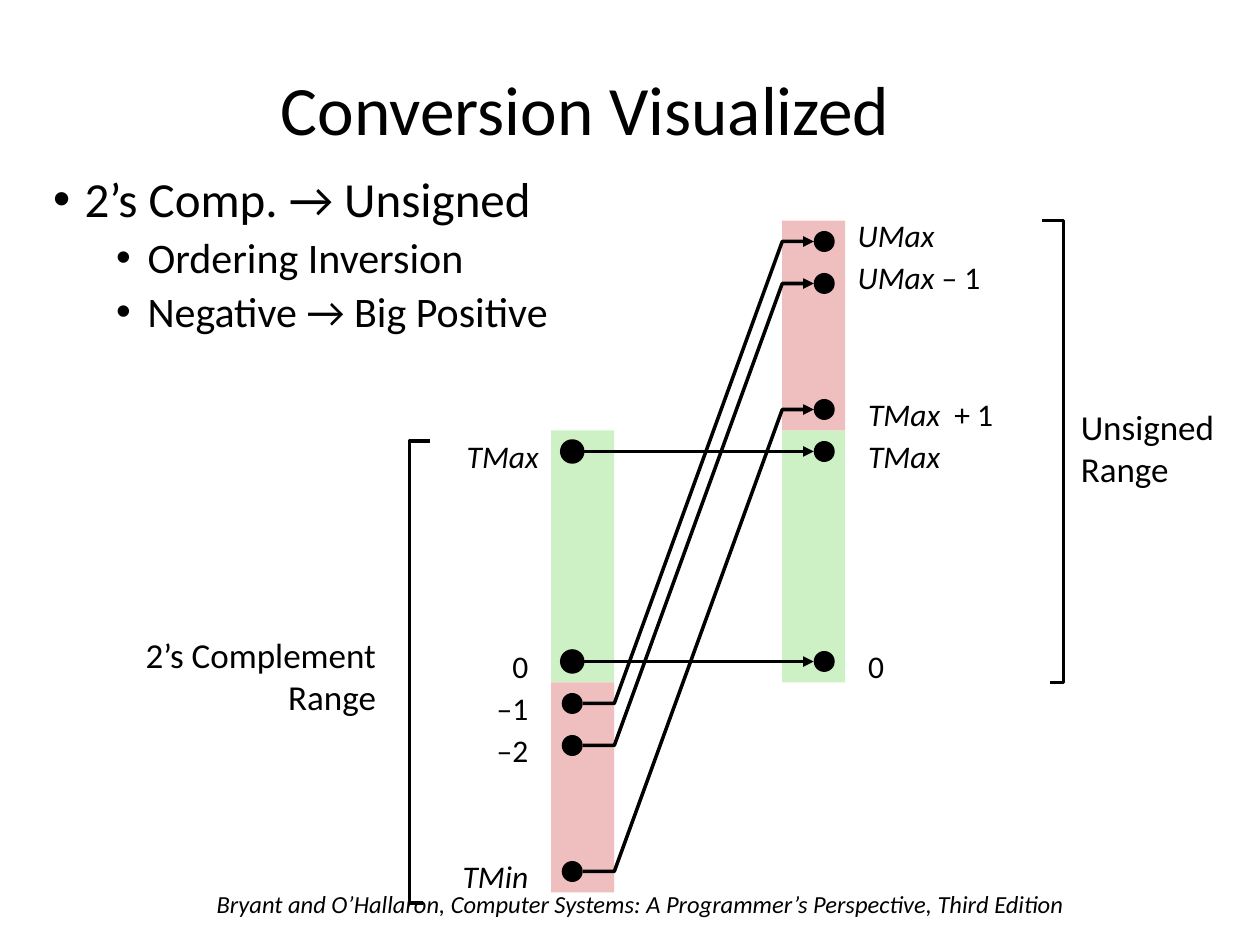
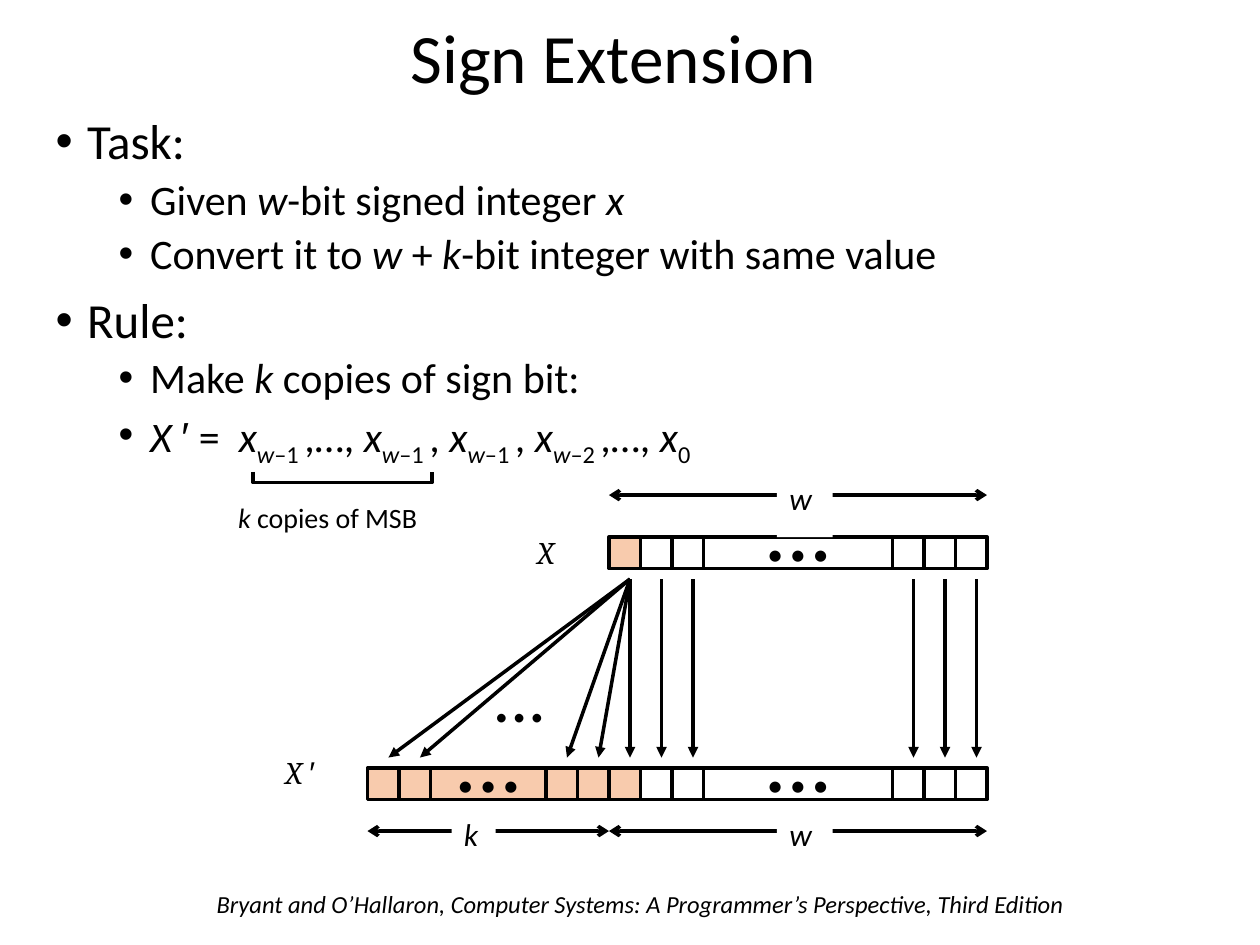
from dataclasses import dataclass

from lxml.etree import SubElement
from pptx import Presentation
from pptx.dml.color import RGBColor
from pptx.enum.shapes import MSO_CONNECTOR as Connector, MSO_SHAPE as Preset
from pptx.enum.text import MSO_ANCHOR as Anchor, MSO_AUTO_SIZE as AutoSize, PP_ALIGN as Align
from pptx.oxml.ns import qn
from pptx.util import Inches, Pt

UNIT = Inches(1) / 12  # the slide is a grid of 120 columns and 90 rows
INK, PAPER = "000000", "FFFFFF"
GREEN, RED, PEACH = "CDF1C5", "EFBFBF", "F8CBAD"
FONT = "Calibri"
FOOTER = "Bryant and O’Hallaron, Computer Systems: A Programmer’s Perspective, Third Edition"
DOTS = "•\u00a0•\u00a0•"
LEVELS = [
    {"size": 28, "margin": 0.25, "before": 10},
    {"size": 24, "margin": 0.75, "before": 5},
]


def color(hex_code):
    return RGBColor.from_string(hex_code)


def add_spans(para, spans, size, font=FONT):
    """Spans are a string or (text, flags); flags: i italic, s subscript, a Arial."""
    if isinstance(spans, str):
        spans = [(spans, "")]
    for text, flags in spans:
        span = para.add_run()
        span.text = text
        values = {"size": Pt(size), "name": "Arial" if "a" in flags else font}
        if "i" in flags:
            values["italic"] = True
        for name, value in values.items():
            setattr(span.font, name, value)
        span.font.color.rgb = color(INK)
        if "s" in flags:
            span.font._element.set("baseline", "-25000")


def set_ink_line(shape, head=None, tail=None):
    shape.line.color.rgb = color(INK)
    shape.line.width = Pt(2)
    stroke = shape._element.spPr.find(qn("a:ln"))
    for tag, kind in (("a:headEnd", head), ("a:tailEnd", tail)):
        if kind:
            SubElement(stroke, qn(tag), type=kind)


@dataclass
class Region:
    """Draws on a page in grid units counted from its own left and top."""
    page: object
    left: float = 0
    top: float = 0

    def point(self, column, row):
        return round((self.left + column) * UNIT), round((self.top + row) * UNIT)

    def frame(self, column, row, width, height):
        return *self.point(column, row), round(width * UNIT), round(height * UNIT)

    def shape(self, preset, frame, fill, outlined=False):
        shape = self.page.shapes.add_shape(preset, *self.frame(*frame))
        shape.shadow.inherit = False
        shape.fill.solid()
        shape.fill.fore_color.rgb = color(fill)
        if outlined:
            set_ink_line(shape)
        else:
            shape.line.fill.background()
        return shape

    def label(self, frame, *lines, size=18, align=Align.LEFT, font=FONT, fill=None):
        box = self.page.shapes.add_textbox(*self.frame(*frame))
        box.text_frame.word_wrap = True
        for index, spans in enumerate(lines):
            para = box.text_frame.add_paragraph() if index else box.text_frame.paragraphs[0]
            para.alignment = align
            add_spans(para, spans, size, font)
        if fill:
            box.fill.solid()
            box.fill.fore_color.rgb = color(fill)

    def line(self, start, end, head=None, tail="triangle"):
        line = self.page.shapes.add_connector(
            Connector.STRAIGHT, *self.point(*start), *self.point(*end))
        set_ink_line(line, head, tail)
        SubElement(line._element.spPr, qn("a:effectLst"))

    def outline(self, points, tail=None):
        start, *others = [self.point(*point) for point in points]
        builder = self.page.shapes.build_freeform(*start)
        builder.add_line_segments(others, close=False)
        shape = builder.convert_to_shape()
        shape.shadow.inherit = False
        shape.fill.background()
        set_ink_line(shape, tail=tail)


def place(holder, frame):
    for name, value in zip(("left", "top", "width", "height"), frame):
        setattr(holder, name, value)
    holder.text_frame.auto_size = AutoSize.NONE
    return holder.text_frame


def fill_title(region, title, frame):
    text = place(region.page.shapes.title, region.frame(*frame))
    text.vertical_anchor = Anchor.MIDDLE
    para = text.paragraphs[0]
    para.alignment = Align.CENTER
    para.line_spacing = 0.9
    add_spans(para, title, 39.6)


def fill_bullets(region, items, frame):
    text = place(region.page.placeholders[1], region.frame(*frame))
    for index, (level, spans) in enumerate(items):
        para = text.add_paragraph() if index else text.paragraphs[0]
        look = LEVELS[level]
        props = para._p.get_or_add_pPr()
        props.set("marL", str(Inches(look["margin"])))
        props.set("indent", str(-Inches(0.25)))
        SubElement(props, qn("a:buFont"), typeface="Arial")
        SubElement(props, qn("a:buChar"), char="•")
        values = {"level": level, "line_spacing": 0.9,
                  "space_before": Pt(look["before"] if index else 0)}
        for name, value in values.items():
            setattr(para, name, value)
        add_spans(para, spans, look["size"])


def add_page(deck, title, title_frame, items, body_frame):
    page = deck.slides.add_slide(deck.slide_layouts[1])
    whole = Region(page)
    fill_title(whole, title, title_frame)
    fill_bullets(whole, items, body_frame)
    whole.label((19.45, 84.1, 85.2, 4.1), [(FOOTER, "i")], size=14)
    return page


def draw_number_bars(region):
    """Two bars of numbers, one every four rows, joined by arrows."""
    step, bar_width, right_bar = 4, 6, 22

    def middle(slot):
        return (slot + 0.5) * step

    for column, first, count, fill in ((right_bar, 5, 6, GREEN), (0, 5, 6, GREEN),
                                       (0, 11, 5, RED), (right_bar, 0, 5, RED)):
        region.shape(Preset.RECTANGLE,
                     (column, first * step, bar_width, count * step), fill)

    signed = [(5, [("TMax", "i")], 0), (10, "0", -1), (11, "–1", -1),
              (12, "–2", -1), (15, [("TMin", "i")], -1)]
    for slot, spans, right in signed:
        region.shape(Preset.OVAL, (1, middle(slot) - 1, 2, 2), INK, slot <= 10)
        region.label((right - 12, middle(slot) - 2, 12, 6), spans, align=Align.RIGHT)

    unsigned = [(0, [("UMax", "i")], 28, -3), (1, [("UMax", "i"), (" – 1", "")], 28, -3),
                (4, [("TMax  ", "i"), ("+ 1", "")], 29, -2),
                (5, [("TMax", "i")], 29, -2), (10, "0", 29, -2)]
    for slot, spans, left, rise in unsigned:
        region.shape(Preset.OVAL, (25, middle(slot) - 1, 2, 2), INK)
        region.label((left, middle(slot) + rise, 19, 6), spans)

    for slot in (5, 10):
        region.line((3, middle(slot)), (25, middle(slot)))
    for source, target in ((11, 0), (12, 1), (15, 4)):
        region.outline([(3, middle(source)), (bar_width, middle(source)),
                        (right_bar, middle(target)), (25, middle(target))], "triangle")


def draw_ranges(region):
    region.outline([(-12.25, 65), (-13.5, 65), (-13.5, 21), (-11.5, 21)])
    region.outline([(47.5, 44), (48.8, 44), (48.8, 0), (46.75, 0)])
    region.label((-43.5, 38.75, 28, 9.25), "2’s Complement Range",
                 size=20, align=Align.RIGHT)
    region.label((49.25, 17, 15.3, 9.25), "Unsigned", "Range", size=20)


def draw_bits(region, row, cells):
    for column, width, fill in cells:
        cell = region.shape(Preset.RECTANGLE, (column, row, width, 3), fill, True)
        if width > 3:
            text = cell.text_frame
            text.vertical_anchor = Anchor.MIDDLE
            text.paragraphs[0].alignment = Align.CENTER
            add_spans(text.paragraphs[0], DOTS, 18)


def draw_extension(region):
    sign, end, bit = 23, 59, 3
    copies, kept = [0, 3, 17, 20, sign], [26, 29, 50, 53, 56]
    word = [(sign, bit, PEACH), *[(column, bit, PAPER) for column in kept],
            (32, 18, PAPER)]
    extra = [(6, 11, PEACH), *[(column, bit, PEACH) for column in copies[:-1]]]
    draw_bits(region, 4, word)
    draw_bits(region, 26, extra + word)

    for column in copies + kept:
        region.line((max(column, sign) + 2, 8), (column + 2, 25))
    region.label((11, 19, 9.4, 4), DOTS, size=14)
    region.label((15, 3, 5.2, 4.8), [("X", "i")], font="Cambria")
    region.label((-9, 24, 5.9, 4.8), [("X ", "i"), ("′", "a")], font="Cambria")

    spans = [("w", sign, end, 0, 39, 5.3), ("w", sign, end, 32, 39, 5.3),
             ("k", 0, sign, 32, 8, 4.2)]
    for name, start, stop, row, column, width in spans:
        region.line((start, row), (stop, row), "arrow", "arrow")
        region.label((column, row - 2.1, width, 6.1), [(name, "i")], fill=PAPER)


def draw_copy_brace(region):
    region.outline([(-10.9, -2.2), (-10.9, -1.2), (6.15, -1.2), (6.15, -2.2)])
    region.label((-13.5, -0.1, 20, 4.4), [("k", "i"), (" copies of MSB", "")], size=16)


def bit_formula():
    spans = [("X ", "i"), ("′", "a"), (" =  ", "")]
    for offset, gap in (("–1 ", ",…, "), ("–1 ", ", "), ("–1 ", ", "), ("–2 ", ",…, ")):
        spans += [("x", "i"), ("w", "is"), (offset, "s"), (gap, "")]
    return spans + [("x", "i"), ("0", "s")]


def add_conversion_page(deck):
    items = [(0, "2’s Comp. → Unsigned"), (1, "Ordering Inversion"),
             (1, "Negative → Big Positive")]
    page = add_page(deck, "Conversion Visualized", (3.6, 7, 104.3, 7.6),
                    items, (3.85, 16.1, 54.6, 22.5))
    region = Region(page, 52.5, 21)
    draw_number_bars(region)
    draw_ranges(region)


def add_extension_page(deck):
    items = [
        (0, "Task:"),
        (1, [("Given ", ""), ("w", "i"), ("-bit signed integer ", ""), ("x", "i")]),
        (1, [("Convert it to ", ""), ("w ", "i"), ("+ ", ""), ("k", "i"),
             ("-bit integer with same value", "")]),
        (0, "Rule:"),
        (1, [("Make ", ""), ("k", "i"), (" copies of sign bit:", "")]),
        (1, bit_formula()),
    ]
    page = add_page(deck, "Sign Extension", (18.35, 2.15, 80.15, 7.3),
                    items, (4.1, 10.55, 108.85, 68.5))
    region = Region(page, 35, 47.15)
    draw_copy_brace(region)
    draw_extension(region)


def main():
    deck = Presentation()
    deck.slide_width, deck.slide_height = Inches(10), Inches(7.5)
    add_conversion_page(deck)
    add_extension_page(deck)
    deck.save("out.pptx")


if __name__ == "__main__":
    main()
